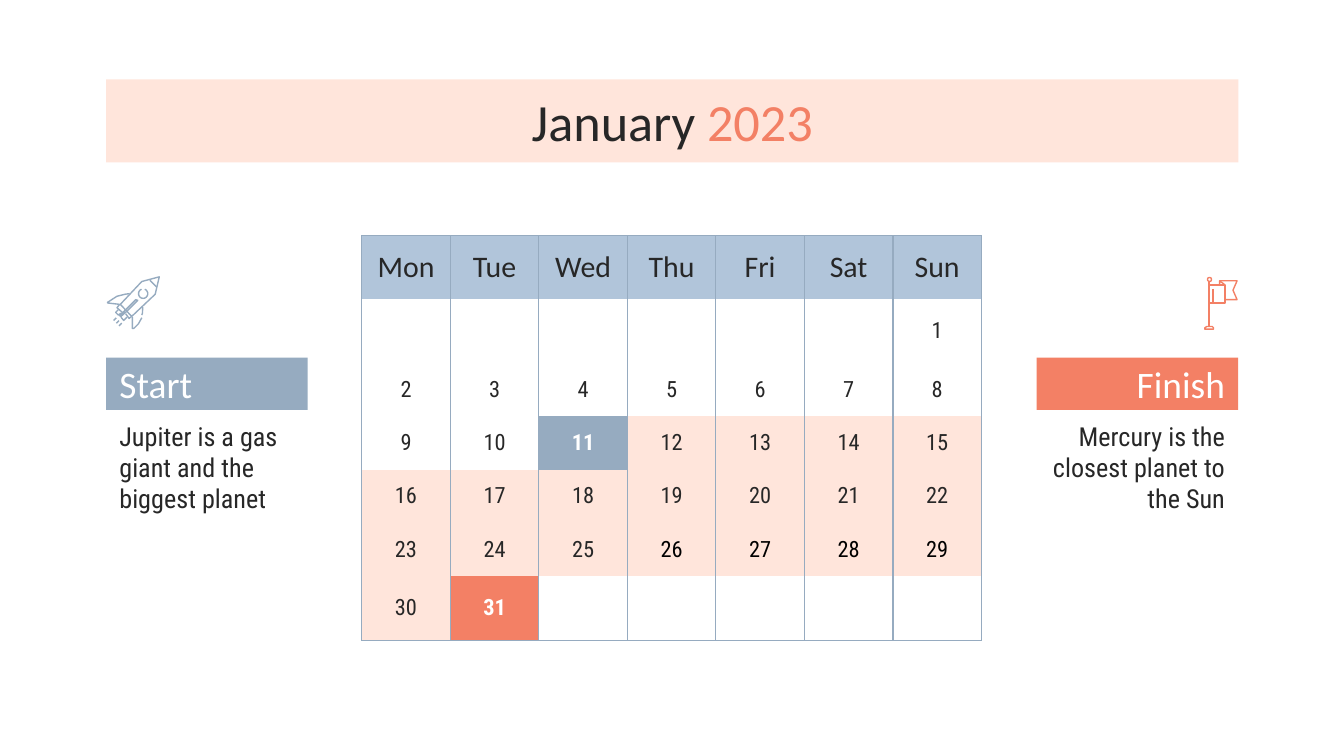
import math
from dataclasses import dataclass

from lxml import etree
from pptx import Presentation
from pptx.dml.color import RGBColor
from pptx.enum import shapes, text
from pptx.oxml import ns
from pptx.util import Pt


@dataclass(frozen=True)
class Theme:
    ink: str = "272727"
    black: str = "000000"
    white: str = "FFFFFF"
    blush: str = "FFE5DB"
    coral: str = "F38065"
    slate: str = "96ABC0"
    sky: str = "B1C5DA"
    heading: str = "Calibri"
    body: str = "Roboto Condensed"
    title_size: int = 28
    label_size: int = 20
    weekday_size: int = 16
    note_size: int = 14
    day_size: int = 12
    line: float = 0.75


theme = Theme()
rgb = RGBColor.from_string
align = text.PP_ALIGN
INSET = Pt(7.2)


def write(frame, words, face, size, color, alignment, bold=False):
    """Fill a text frame or a table cell with one paragraph and return it."""
    frame.margin_left = frame.margin_right = INSET
    frame.margin_top = frame.margin_bottom = INSET
    frame.vertical_anchor = text.MSO_ANCHOR.MIDDLE
    paragraph = getattr(frame, "text_frame", frame).paragraphs[0]
    paragraph.alignment = alignment
    paragraph.add_run().text = words
    font = paragraph.font
    font.name, font.size, font.bold = face, Pt(size), bold
    font.color.rgb = rgb(color)
    return paragraph


def draw_icon(left, top, color, parts):
    """Draw each part, a list of strokes on a grid of 0.72 pt, as one outline."""
    for strokes in parts:
        pen = None
        for points, closed in strokes:
            (x, y), *rest = [(px * 10, py * 10) for px, py in points]
            if pen is None:
                pen = slide.shapes.build_freeform(x, y, scale=Pt(0.072))
            else:
                pen.move_to(x, y)
            pen.add_line_segments(rest, close=closed)
        outline = pen.convert_to_shape(Pt(left), Pt(top))
        outline.shadow.inherit = False
        outline.fill.background()
        outline.line.color.rgb = rgb(color)
        outline.line.width = Pt(theme.line)


deck = Presentation()
deck.slide_width, deck.slide_height = Pt(720), Pt(405)
slide = deck.slides.add_slide(deck.slide_layouts[6])

# Title band
band = slide.shapes.add_shape(shapes.MSO_SHAPE.RECTANGLE, Pt(56.9), Pt(42.5), Pt(606.6), Pt(44.6))
band.shadow.inherit = False
band.fill.solid()
band.fill.fore_color.rgb = rgb(theme.blush)
band.line.fill.background()
month = write(band.text_frame, "January ", theme.heading, theme.title_size, theme.ink, align.CENTER)
year = month.add_run()
year.text = "2023"
year.font.color.rgb = rgb(theme.coral)

# Calendar
weekdays = ["Mon", "Tue", "Wed", "Thu", "Fri", "Sat", "Sun"]
row_heights = [33.9, 34.3, 28.4, 28.4, 28.4, 28.4, 34.6]
column_width = 47.45
first_column, start_day, finish_day = 6, 11, 31
black_days = range(26, 30)
calendar = slide.shapes.add_table(
    len(row_heights), len(weekdays), Pt(193.8), Pt(126.3),
    Pt(column_width * len(weekdays)), Pt(sum(row_heights))).table
calendar.first_row = calendar.horz_banding = False
for column in calendar.columns:
    column.width = Pt(column_width)
for row, height in zip(calendar.rows, row_heights):
    row.height = Pt(height)

last_row = len(row_heights) - 1
for r in range(len(row_heights)):
    for c, weekday in enumerate(weekdays):
        cell = calendar.cell(r, c)
        day = (r - 1) * len(weekdays) + c - first_column + 1
        fill = None
        if r == 0:
            fill = theme.sky
            write(cell, weekday, theme.heading, theme.weekday_size, theme.ink, align.CENTER)
        elif 1 <= day <= finish_day:
            milestone = day in (start_day, finish_day)
            if milestone:
                fill = theme.slate if day == start_day else theme.coral
                color = theme.white
            else:
                fill = theme.blush if day > start_day else None
                color = theme.black if day in black_days else theme.ink
            write(cell, str(day), theme.body, theme.day_size, color, align.CENTER, milestone)
        if fill:
            cell.fill.solid()
            cell.fill.fore_color.rgb = rgb(fill)
        else:
            cell.fill.background()

        borders = {"lnL": True, "lnR": True, "lnT": r == 0, "lnB": r == last_row}
        properties = cell._tc.get_or_add_tcPr()
        for position, (side, visible) in enumerate(borders.items()):
            border = etree.Element(ns.qn(f"a:{side}"), w=str(Pt(theme.line)))
            if visible:
                paint = etree.SubElement(border, ns.qn("a:solidFill"))
                etree.SubElement(paint, ns.qn("a:srgbClr"), val=theme.slate)
            else:
                etree.SubElement(border, ns.qn("a:noFill"))
            properties.insert(position, border)

# Start and finish notes
notes = [
    (56.9, "Start", theme.slate, align.LEFT, "Jupiter is a gas giant and the biggest planet"),
    (555.4, "Finish", theme.coral, align.RIGHT, "Mercury is the closest planet to the Sun"),
]
for left, name, color, alignment, fact in notes:
    label = slide.shapes.add_shape(shapes.MSO_SHAPE.RECTANGLE, Pt(left), Pt(191.6), Pt(108), Pt(28))
    label.shadow.inherit = False
    label.fill.solid()
    label.fill.fore_color.rgb = rgb(color)
    label.line.fill.background()
    write(label.text_frame, name, theme.heading, theme.label_size, theme.white, alignment)
    note = slide.shapes.add_textbox(Pt(left), Pt(226.1), Pt(108), Pt(48.2))
    note.text_frame.word_wrap = True
    write(note.text_frame, fact, theme.body, theme.note_size, theme.ink, alignment)

# Rocket
flames = [[([(x, y), (x - 2, y + 2)], False)]
          for x, y in [(7.5, 31.5), (11.5, 35.5), (9.5, 33.5)]]
porthole = [(27.5 + 3.5 * math.cos(math.radians(a)), 13.5 + 3.5 * math.sin(math.radians(a)))
            for a in range(-70, 251, 20)]
hull = [
    ([(39.5, 1), (26.5, 4.5), (10.5, 21.5), (19, 30.5), (36.5, 14), (39.5, 1)], True),
    ([(32.5, 3.5), (37.5, 8.5)], False),
    ([(17.5, 13.5), (14, 14), (8, 15.5), (1, 20), (1, 20.5), (10, 21.5)], False),
    ([(19.5, 31), (19.5, 39.5), (20.5, 39.5), (24, 36), (26.5, 31.5)], False),
    ([(26.5, 29.5), (27, 28), (27.2, 23.5)], False),
    ([(10, 30), (22, 18), (23.5, 18.5), (15, 27), (11, 30.5)], True),
    ([(10, 21.5), (8, 24), (12, 27.5)], False),
    ([(9, 25.5), (7, 27.5), (9, 29.5), (11, 28)], False),
    ([(14.5, 28.5), (17, 32), (19, 30.5)], False),
    ([(11, 31), (13, 33.5), (15.5, 31)], False),
]
draw_icon(56.9, 147.6, theme.slate, flames + [hull, [(porthole, False)]])

# Flag
knob = [(4 + 1.5 * math.cos(math.radians(a)), 2 + 1.5 * math.sin(math.radians(a)))
        for a in range(0, 360, 30)]
flag = [
    (knob, True),
    ([(3.5, 3.5), (3.5, 37)], False),
    ([(0.5, 39), (0.5, 38), (2, 37), (6, 37), (7, 38), (7, 39)], True),
    ([(3.5, 6), (15.5, 6), (15.5, 19.5), (3.5, 19.5)], False),
    ([(6.5, 9), (6.5, 19.5)], False),
    ([(15.5, 6), (11.5, 3), (11.5, 6)], False),
    ([(11.5, 3), (24.5, 3), (21.5, 10), (24.5, 17), (15.5, 17)], False),
]
draw_icon(645.1, 148.3, theme.coral, [flag])

deck.save("out.pptx")
